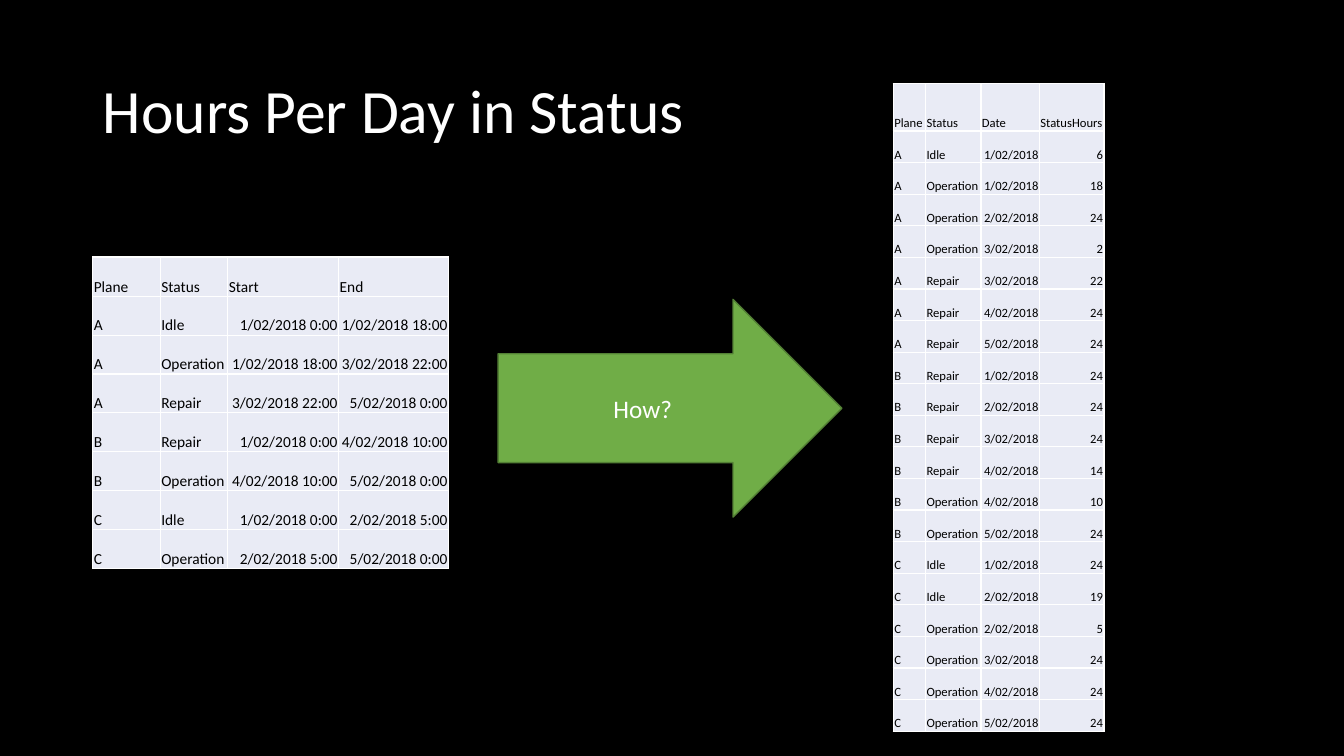
from lxml import etree
from pptx import Presentation
from pptx.dml.color import RGBColor
from pptx.enum import shapes, text
from pptx.oxml import ns
from pptx.util import Inches, Pt

BLACK = RGBColor(0x00, 0x00, 0x00)
WHITE = RGBColor(0xFF, 0xFF, 0xFF)
PALE_BLUE = RGBColor(0xE9, 0xEB, 0xF5)
GREEN = RGBColor(0x70, 0xAD, 0x47)
DARK_GREEN = RGBColor(0x53, 0x80, 0x35)

TITLE = "Hours Per Day in Status"
QUESTION = "How?"
PERIODS = [
    ("Plane", "Status", "Start", "End"),
    ("A", "Idle", "1/02/2018 0:00", "1/02/2018 18:00"),
    ("A", "Operation", "1/02/2018 18:00", "3/02/2018 22:00"),
    ("A", "Repair", "3/02/2018 22:00", "5/02/2018 0:00"),
    ("B", "Repair", "1/02/2018 0:00", "4/02/2018 10:00"),
    ("B", "Operation", "4/02/2018 10:00", "5/02/2018 0:00"),
    ("C", "Idle", "1/02/2018 0:00", "2/02/2018 5:00"),
    ("C", "Operation", "2/02/2018 5:00", "5/02/2018 0:00"),
]
DAILY_HOURS = [
    ("Plane", "Status", "Date", "StatusHours"),
    ("A", "Idle", "1/02/2018", "6"),
    ("A", "Operation", "1/02/2018", "18"),
    ("A", "Operation", "2/02/2018", "24"),
    ("A", "Operation", "3/02/2018", "2"),
    ("A", "Repair", "3/02/2018", "22"),
    ("A", "Repair", "4/02/2018", "24"),
    ("A", "Repair", "5/02/2018", "24"),
    ("B", "Repair", "1/02/2018", "24"),
    ("B", "Repair", "2/02/2018", "24"),
    ("B", "Repair", "3/02/2018", "24"),
    ("B", "Repair", "4/02/2018", "14"),
    ("B", "Operation", "4/02/2018", "10"),
    ("B", "Operation", "5/02/2018", "24"),
    ("C", "Idle", "1/02/2018", "24"),
    ("C", "Idle", "2/02/2018", "19"),
    ("C", "Operation", "2/02/2018", "5"),
    ("C", "Operation", "3/02/2018", "24"),
    ("C", "Operation", "4/02/2018", "24"),
    ("C", "Operation", "5/02/2018", "24"),
]
TABLES = [
    {"rows": PERIODS, "left": 0.92, "top": 2.55, "height": 3.09,
     "header": 0.39, "widths": (0.67, 0.67, 1.1, 1.09), "size": 11},
    {"rows": DAILY_HOURS, "left": 8.86, "top": 0.83, "height": 6.43,
     "header": 0.47, "widths": (0.32, 0.55, 0.58, 0.64), "size": 9},
]
CELL_FORMAT = {
    "margin_left": Inches(0.01), "margin_top": Inches(0.01),
    "margin_right": Inches(0.01), "margin_bottom": 0,
    "vertical_anchor": text.MSO_ANCHOR.BOTTOM,
}


def apply(target, values):
    for name, value in values.items():
        setattr(target, name, value)


def write(frame, words, size, color, align):
    para = frame.paragraphs[0]
    para.alignment = align
    span = para.add_run()
    span.text = words
    apply(span.font, {"name": "Calibri", "size": Pt(size), "bold": False})
    span.font.color.rgb = color
    return para


def add_borders(cell):
    properties = cell._tc.get_or_add_tcPr()
    for side in ("lnL", "lnR", "lnT", "lnB"):
        line = etree.SubElement(properties, ns.qn("a:" + side), w=str(Pt(1)))
        fill = etree.SubElement(line, ns.qn("a:solidFill"))
        etree.SubElement(fill, ns.qn("a:srgbClr"), val=str(WHITE))


def add_status_table(page, rows, left, top, height, header, widths, size):
    frame = page.shapes.add_table(
        len(rows), len(widths), Inches(left), Inches(top),
        Inches(sum(widths)), Inches(height))
    table = frame.table
    apply(table, {"first_row": False, "horz_banding": False})
    for column, width in zip(table.columns, widths):
        column.width = Inches(width)
    body_height = Inches((height - header) / (len(rows) - 1))
    for r, values in enumerate(rows):
        table.rows[r].height = body_height if r else Inches(header)
        for c, value in enumerate(values):
            cell = table.cell(r, c)
            apply(cell, CELL_FORMAT)
            add_borders(cell)
            cell.fill.solid()
            cell.fill.fore_color.rgb = PALE_BLUE
            right = r > 0 and c > 1
            align = text.PP_ALIGN.RIGHT if right else text.PP_ALIGN.LEFT
            write(cell.text_frame, value, size, BLACK, align)


deck = Presentation()
apply(deck, {"slide_width": Inches(13.33), "slide_height": Inches(7.5)})
page = deck.slides.add_slide(deck.slide_layouts[5])
page.background.fill.solid()
page.background.fill.fore_color.rgb = BLACK

title = page.shapes.title
apply(title, {"left": Inches(0.92), "top": Inches(0.4),
              "width": Inches(11.5), "height": Inches(1.45)})
title.text_frame.vertical_anchor = text.MSO_ANCHOR.MIDDLE
heading = write(title.text_frame, TITLE, 44, WHITE, text.PP_ALIGN.LEFT)
heading.line_spacing = 0.9

for settings in TABLES:
    add_status_table(page, **settings)

arrow = page.shapes.add_shape(
    shapes.MSO_SHAPE.RIGHT_ARROW,
    Inches(4.94), Inches(2.97), Inches(3.41), Inches(2.16))
arrow.shadow.inherit = False
arrow.fill.solid()
arrow.fill.fore_color.rgb = GREEN
arrow.line.color.rgb = DARK_GREEN
arrow.line.width = Pt(1)
arrow.text_frame.vertical_anchor = text.MSO_ANCHOR.MIDDLE
write(arrow.text_frame, QUESTION, 18, WHITE, text.PP_ALIGN.CENTER)

deck.save("out.pptx")
